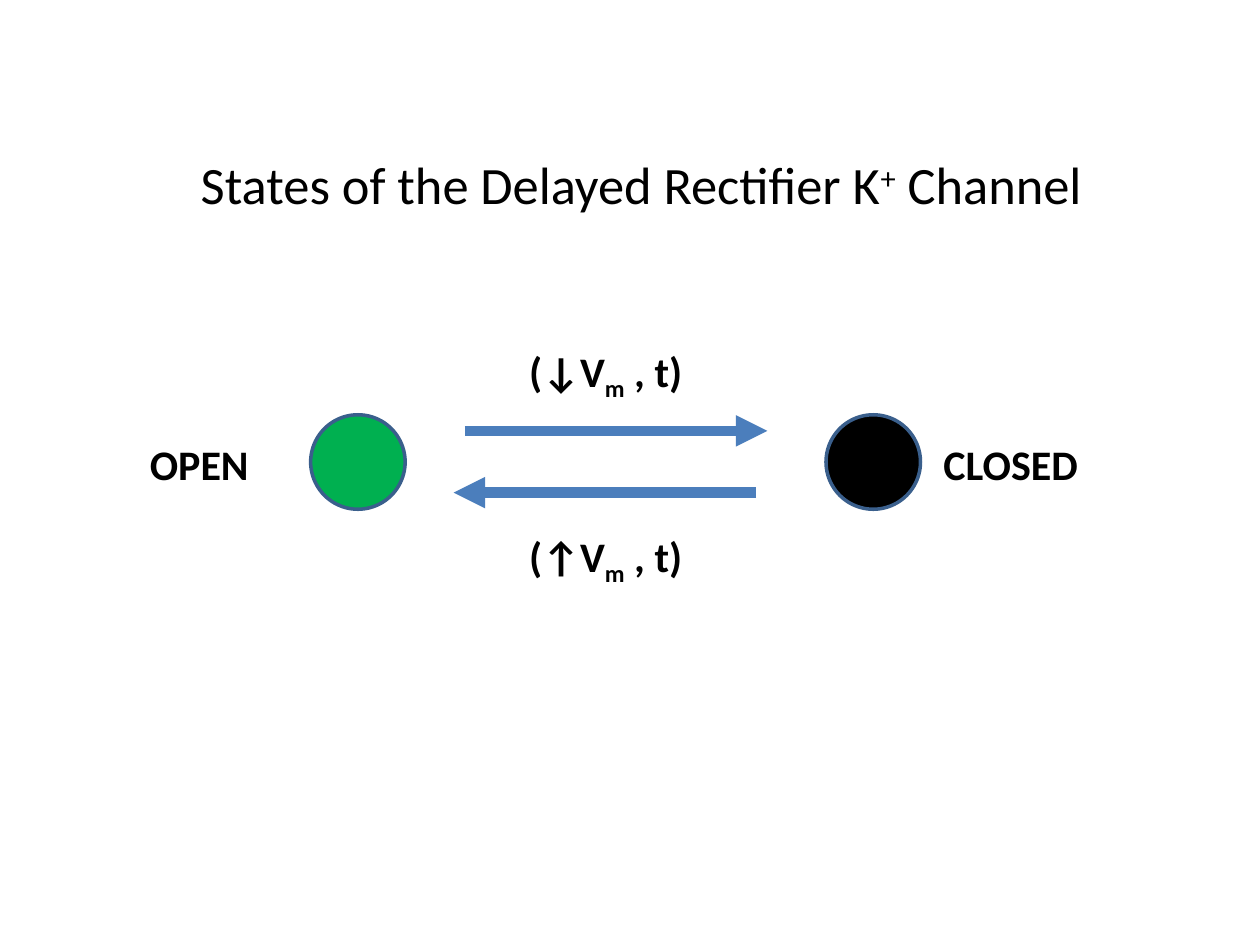
import pptx
import pptx.dml.color
import pptx.enum.shapes
import pptx.enum.text
import pptx.oxml
import pptx.oxml.ns
import pptx.util

Pt = pptx.util.Pt


def color(hex_code):
    return pptx.dml.color.RGBColor.from_string(hex_code)


def write_line(frame, runs, size, bold):
    """Fill a frame with one unwrapped line of (text, baseline percent) runs."""
    frame.word_wrap = False
    frame.auto_size = pptx.enum.text.MSO_AUTO_SIZE.SHAPE_TO_FIT_TEXT
    frame.vertical_anchor = pptx.enum.text.MSO_ANCHOR.TOP
    line = frame.paragraphs[0]
    for text, baseline in runs:
        run = line.add_run()
        run.text = text
        if baseline:
            run._r.get_or_add_rPr().set("baseline", str(baseline * 1000))
    line.font.name = "Calibri"
    line.font.size = Pt(size)
    line.font.bold = bold
    line.font.color.rgb = color("000000")


deck = pptx.Presentation()
deck.slide_width, deck.slide_height = Pt(720), Pt(540)
slide = deck.slides.add_slide(deck.slide_layouts[5])

title = slide.shapes.title
title.left, title.top, title.width, title.height = Pt(104.4), Pt(83.5), Pt(524), Pt(44)
write_line(title.text_frame,
           [("States of the Delayed Rectifier K", 0), ("+", 30), (" Channel", 0)],
           30, False)

# Channel states
for left, fill in [(177.5, "00B050"), (472, "000000")]:
    state = slide.shapes.add_shape(pptx.enum.shapes.MSO_SHAPE.OVAL,
                                   Pt(left), Pt(237), Pt(54), Pt(54))
    state.shadow.inherit = False
    state.fill.solid()
    state.fill.fore_color.rgb = color(fill)
    state.line.color.rgb = color("3A5F8C")
    state.line.width = Pt(2)

# Transitions between the states
for start, end, y in [(432, 259.2, 281.5), (265.7, 438.5, 246.2)]:
    transition = slide.shapes.add_connector(
        pptx.enum.shapes.MSO_CONNECTOR.STRAIGHT, Pt(start), Pt(y), Pt(end), Pt(y))
    transition.line.color.rgb = color("4B7EBC")
    transition.line.width = Pt(6)
    outline = transition.line._get_or_add_ln()
    outline.append(pptx.oxml.parse_xml(
        f'<a:tailEnd {pptx.oxml.ns.nsdecls("a")} type="triangle"/>'))
    transition._element.spPr.append(pptx.oxml.parse_xml(
        f'<a:effectLst {pptx.oxml.ns.nsdecls("a")}/>'))

# State names and transition conditions
labels = [
    (78.5, 247, 71.3, [("OPEN", 0)]),
    (532, 247, 92.2, [("CLOSED", 0)]),
    (295.2, 193.7, 104.4, [("(↓V", 0), ("m", -25), (" , t)", 0)]),
    (295.2, 299.5, 104.4, [("(↑V", 0), ("m", -25), (" , t)", 0)]),
]
for left, top, width, runs in labels:
    label = slide.shapes.add_textbox(Pt(left), Pt(top), Pt(width), Pt(36))
    write_line(label.text_frame, runs, 24, True)

deck.save("out.pptx")
